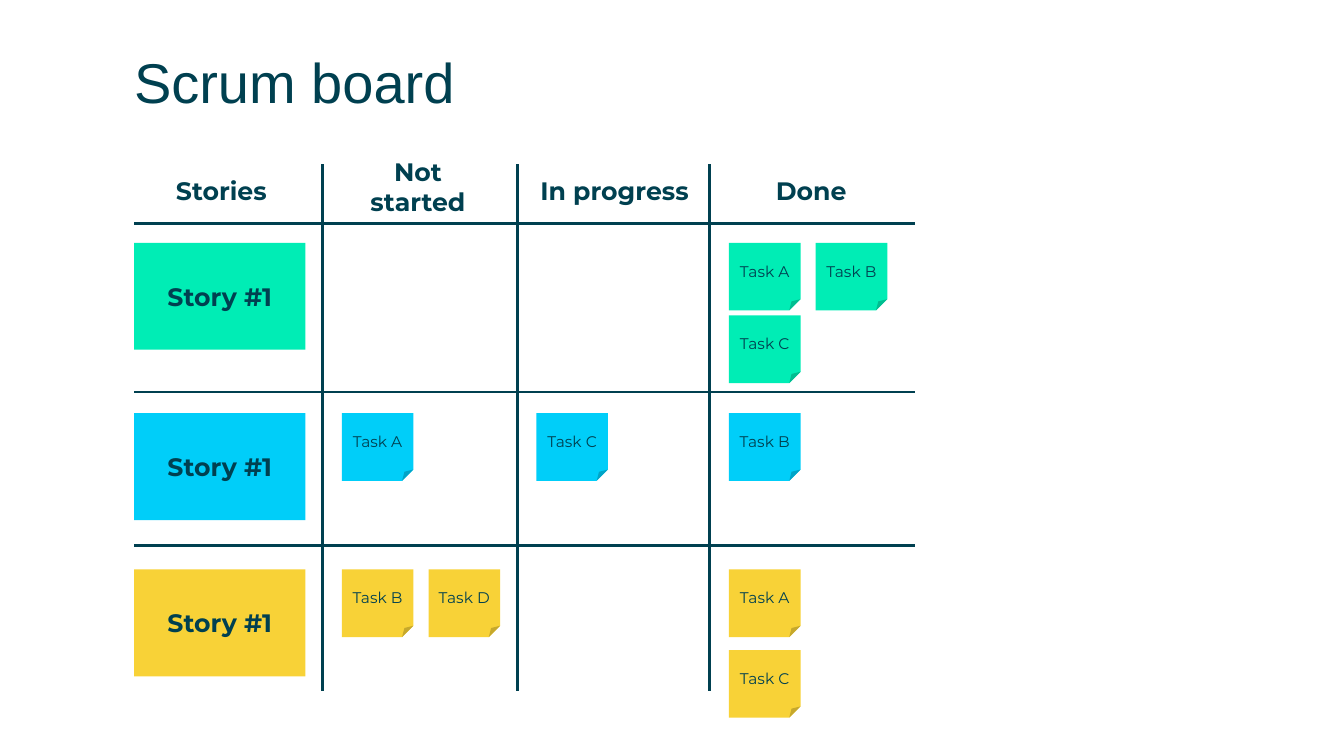
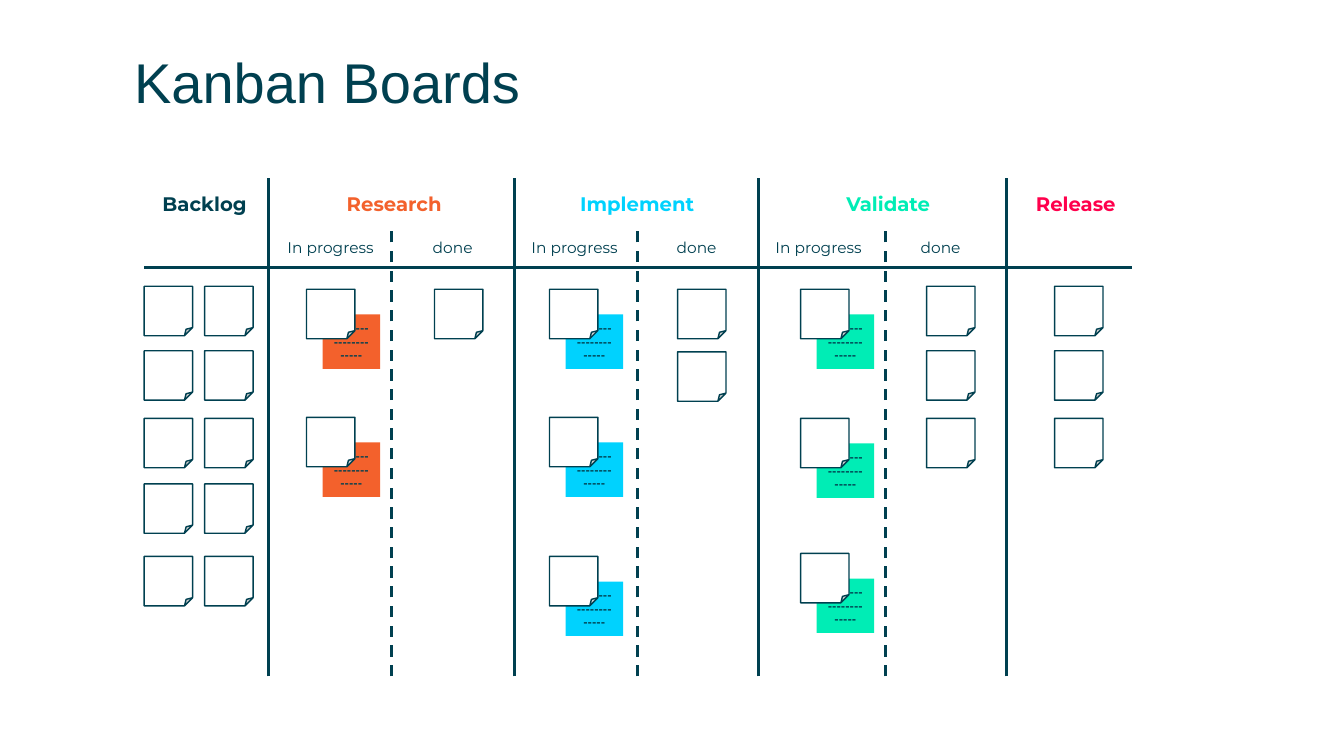
from dataclasses import dataclass
from itertools import accumulate

from lxml import etree
from pptx import Presentation
from pptx import util as u
from pptx.dml.color import RGBColor
from pptx.enum import dml, shapes, text
from pptx.oxml import ns

INK = RGBColor(0x00, 0x40, 0x50)
WHITE = RGBColor(0xFF, 0xFF, 0xFF)
GREEN = RGBColor(0x00, 0xED, 0xB5)
BLUE = RGBColor(0x00, 0xCE, 0xF9)
BRIGHT_BLUE = RGBColor(0x00, 0xD2, 0xFE)
YELLOW = RGBColor(0xF8, 0xD2, 0x37)
ORANGE = RGBColor(0xF3, 0x61, 0x2C)
PINK = RGBColor(0xFF, 0x00, 0x4C)

SLIDE_SIZE = (13.33, 7.5)
TITLE_FONT = "Arial"
BODY_FONT = "Montserrat"
RECTANGLE = shapes.MSO_SHAPE.RECTANGLE
NOTE = shapes.MSO_SHAPE.FOLDED_CORNER
CENTER = text.PP_ALIGN.CENTER

SCRUM_COLUMNS = (1.87, 1.93, 1.91, 2.04)
SCRUM_ROWS = (0.59, 1.67, 1.52, 1.45)
SCRUM_HEADINGS = ("Stories", "Not\nstarted", "In progress", "Done")
STORY_SIZE = (1.7, 1.06)
TASK_SIZE = (0.71, 0.67)

KANBAN_COLUMNS = (1.23, 1.22, 1.22, 1.22, 1.2, 1.26, 1.2, 1.25)
CARD_SIZE = (0.48, 0.49)
DETAIL_SIZE = (0.57, 0.54)


@dataclass
class Box:
    left: float
    top: float
    width: float
    height: float

    @property
    def right(self):
        return self.left + self.width

    @property
    def bottom(self):
        return self.top + self.height


@dataclass
class Story:
    color: RGBColor
    inset: float
    row_step: float
    tasks: dict


@dataclass
class Stage:
    name: str
    color: RGBColor
    edge: int
    indent: float


@dataclass
class Lane:
    indent: float
    tops: tuple
    detail: RGBColor = None
    per_row: int = 1


STORIES = (
    Story(GREEN, 0.19, 0.72, {3: {"Task A": (0, 0), "Task B": (1, 0), "Task C": (0, 1)}}),
    Story(BLUE, 0.21, 0.72, {1: {"Task A": (0, 0)}, 2: {"Task C": (0, 0)}, 3: {"Task B": (0, 0)}}),
    Story(YELLOW, 0.24, 0.8, {1: {"Task B": (0, 0), "Task D": (1, 0)},
                              3: {"Task A": (0, 0), "Task C": (0, 1)}}),
)

STAGES = (
    Stage("Backlog", INK, 0, -0.1),
    Stage("Research", ORANGE, 1, 0.55),
    Stage("Implement", BRIGHT_BLUE, 3, 0.52),
    Stage("Validate", GREEN, 5, 0.59),
    Stage("Release", PINK, 7, -0.01),
)

BACKLOG_TOPS = (1.07, 1.71, 2.38, 3.03, 3.75)
LANES = (
    Lane(0, BACKLOG_TOPS, per_row=2),
    Lane(0.38, (1.1, 2.37), ORANGE),
    Lane(0.43, (1.1,)),
    Lane(0.35, (1.1, 2.37, 3.75), BRIGHT_BLUE),
    Lane(0.4, (1.1, 1.72)),
    Lane(0.42, (1.1, 2.38, 3.72), GREEN),
    Lane(0.41, BACKLOG_TOPS[:3]),
    Lane(0.48, BACKLOG_TOPS[:3]),
)


def edges(start, length, parts):
    total = sum(parts)
    return [start + length * part / total for part in accumulate(parts, initial=0)]


def write(shape, words, size, color=INK, bold=False, font=BODY_FONT, align=CENTER):
    frame = shape.text_frame
    frame.word_wrap = True
    frame.text = words
    for paragraph in frame.paragraphs:
        paragraph.alignment = align
        paragraph.font.size = u.Pt(size)
        paragraph.font.name = font
        paragraph.font.bold = bold
        paragraph.font.color.rgb = color


def add_label(slide, box, words, size, **style):
    shape = slide.shapes.add_textbox(*map(u.Inches, (box.left, box.top, box.width, box.height)))
    frame = shape.text_frame
    frame.margin_left = frame.margin_right = frame.margin_top = frame.margin_bottom = 0
    write(shape, words, size, **style)
    return shape


def add_card(slide, kind, left, top, size, fill, outline=None):
    shape = slide.shapes.add_shape(kind, *map(u.Inches, (left, top, *size)))
    shape.shadow.inherit = False
    shape.fill.solid()
    shape.fill.fore_color.rgb = fill
    if outline is None:
        shape.line.fill.background()
    else:
        shape.line.color.rgb = outline
        shape.line.width = u.Pt(1)
    shape.text_frame.vertical_anchor = text.MSO_ANCHOR.MIDDLE
    return shape


def add_rule(slide, x1, y1, x2, y2, dashed=False):
    line = slide.shapes.add_connector(
        shapes.MSO_CONNECTOR.STRAIGHT, *map(u.Inches, (x1, y1, x2, y2)))
    line.line.color.rgb = INK
    line.line.width = u.Pt(2)
    if dashed:
        line.line.dash_style = dml.MSO_LINE.DASH
    etree.SubElement(line._element.spPr, ns.qn("a:effectLst"))


def add_board_slide(presentation, title):
    slide = presentation.slides.add_slide(presentation.slide_layouts[6])
    slide.background.fill.solid()
    slide.background.fill.fore_color.rgb = WHITE
    label = add_label(slide, Box(1.33, 0.41, 11.59, 0.57), title, 40,
                      font=TITLE_FONT, align=text.PP_ALIGN.LEFT)
    label.text_frame.margin_top = u.Inches(0.06)
    return slide


def draw_scrum_board(slide, box):
    columns = edges(box.left, box.width, SCRUM_COLUMNS)
    rows = edges(box.top, box.height, SCRUM_ROWS)
    for index, heading in enumerate(SCRUM_HEADINGS):
        top = box.top + 0.11 - 0.19 * heading.count("\n")
        add_label(slide, Box(box.left - 0.06 + 1.95 * index, top, 1.85, rows[1] - top),
                  heading, 18, bold=True)
    for x in columns[1:-1]:
        add_rule(slide, x, box.top, x, box.bottom)
    for y in rows[1:-1]:
        add_rule(slide, box.left, y, box.right, y)
    for story, row in zip(STORIES, rows[1:]):
        top = row + story.inset
        card = add_card(slide, RECTANGLE, box.left, top, STORY_SIZE, story.color)
        write(card, "Story #1", 18, bold=True)
        for column, tasks in story.tasks.items():
            for name, (across, down) in tasks.items():
                note = add_card(slide, NOTE, columns[column] + 0.19 + 0.86 * across,
                                top + story.row_step * down, TASK_SIZE, story.color)
                note.text_frame.margin_left = note.text_frame.margin_right = 0
                write(note, name, 11)


def draw_lane(slide, lane, left, board_top):
    for offset in lane.tops:
        top = board_top + offset
        if lane.detail is not None:
            detail = add_card(slide, RECTANGLE, left + 0.16, top + 0.25, DETAIL_SIZE, lane.detail)
            write(detail, "-" * 21, 8, bold=True)
        for index in range(lane.per_row):
            add_card(slide, NOTE, left + 0.6 * index, top, CARD_SIZE, WHITE, INK)


def draw_kanban_board(slide, box):
    columns = edges(box.left, box.width, KANBAN_COLUMNS)
    header_bottom = box.top + 0.88
    add_rule(slide, box.left, header_bottom, box.right, header_bottom)
    for index, x in enumerate(columns[1:-1], 1):
        dashed = index % 2 == 0
        add_rule(slide, x, box.bottom, x, box.top + (0.51 if dashed else 0), dashed)
    for lane, left in zip(LANES, columns):
        draw_lane(slide, lane, left + lane.indent, box.top)
    for stage in STAGES:
        place = Box(columns[stage.edge] + stage.indent, box.top + 0.13, 1.4, 0.49)
        add_label(slide, place, stage.name, 14, color=stage.color, bold=True)
    for index, state in enumerate(("In progress", "done") * 3):
        place = Box(columns[1] - 0.08 + 1.21 * index, box.top + 0.59, 1.4, 0.49)
        add_label(slide, place, state, 11)


def main():
    presentation = Presentation()
    presentation.slide_width, presentation.slide_height = map(u.Inches, SLIDE_SIZE)
    draw_scrum_board(add_board_slide(presentation, "Scrum board"), Box(1.33, 1.63, 7.75, 5.23))
    draw_kanban_board(add_board_slide(presentation, "Kanban Boards"), Box(1.43, 1.77, 9.8, 4.94))
    presentation.save("out.pptx")


if __name__ == "__main__":
    main()
